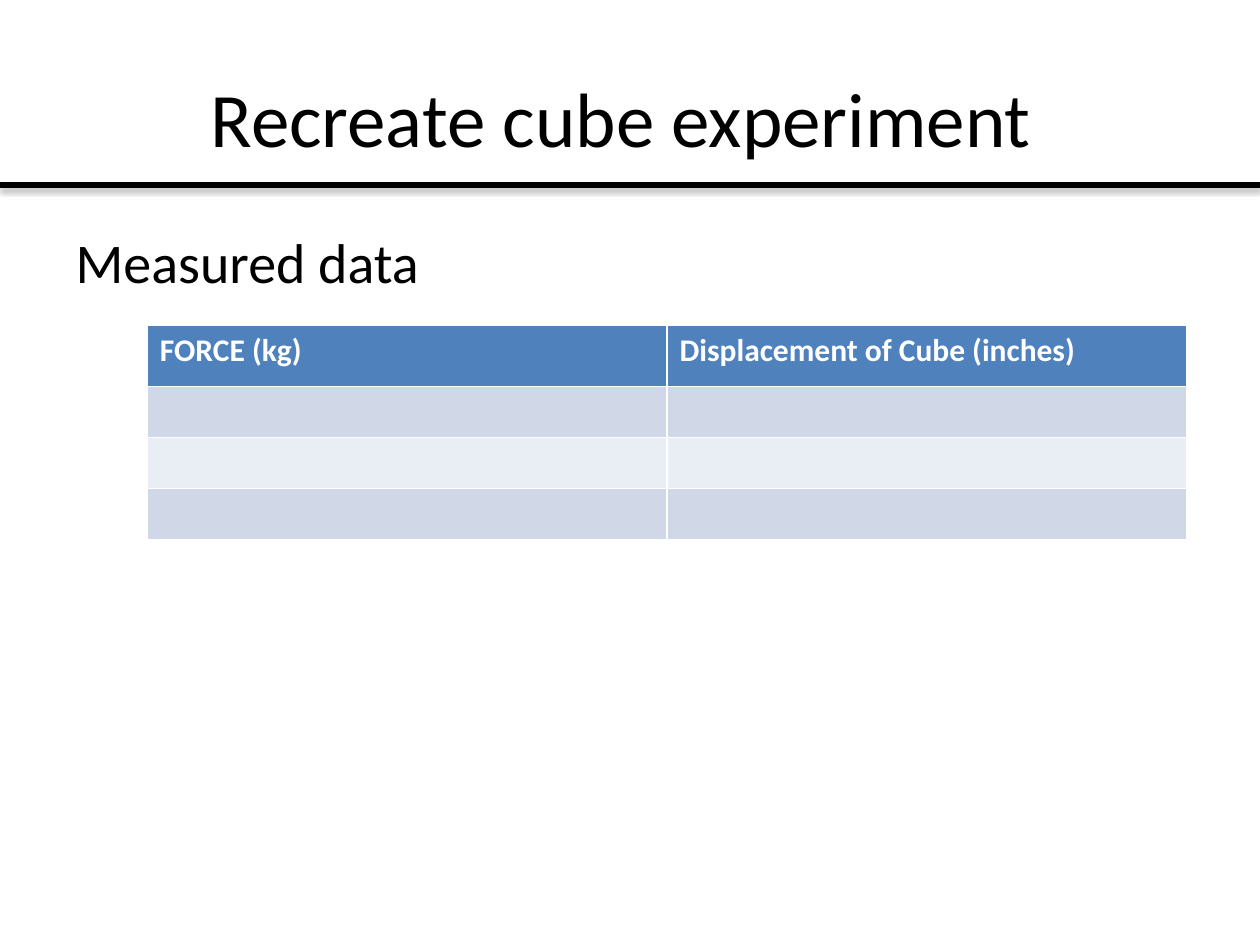
"""Build the slide with the measured data of the cube experiment."""
from dataclasses import dataclass

from lxml.etree import SubElement as Sub
from pptx import Presentation as Deck
from pptx.dml.color import RGBColor as Rgb
from pptx.enum.shapes import MSO_CONNECTOR as Link
from pptx.enum.text import MSO_ANCHOR as Anchor, PP_ALIGN as Align
from pptx.oxml.ns import qn
from pptx.util import Cm, Pt


@dataclass
class Box:
    left: float
    top: float
    width: float
    height: float

    def spread(self) -> tuple:
        return Cm(self.left), Cm(self.top), Cm(self.width), Cm(self.height)


@dataclass
class Row:
    height: float
    fill: str
    texts: tuple = ("", "")


ROWS = (
    Row(1.24, "4F81BD", ("FORCE (kg)", "Displacement of Cube (inches)")),
    Row(1.03, "D0D8E8"),
    Row(1.03, "E9EDF4"),
    Row(1.03, "D0D8E8"),
)


def paint(part, color: str) -> None:
    part.rgb = Rgb.from_string(color)


def style(frame, size: int, color: str, bold: bool = False) -> None:
    for para in frame.paragraphs:
        for run in para.runs:
            run.font.name = "Calibri"
            run.font.size = Pt(size)
            run.font.bold = bold
            paint(run.font.color, color)


def fill_holder(holder, box: Box, text: str, size: int):
    holder.left, holder.top, holder.width, holder.height = box.spread()
    frame = holder.text_frame
    frame.text = text
    style(frame, size, "000000")
    return frame


def draw_rule(slide, top: float, width: float) -> None:
    rule = slide.shapes.add_connector(Link.STRAIGHT, 0, Cm(top), Cm(width), Cm(top))
    paint(rule.line.color, "000000")
    rule.line.width = Pt(3)
    props = rule._element.spPr
    glow = Sub(Sub(props, qn("a:effectLst")), qn("a:outerShdw"), blurRad=str(Pt(3.1)),
               dist=str(Pt(1.8)), dir="5400000", rotWithShape="0")
    shade = Sub(glow, qn("a:srgbClr"), val="000000")
    Sub(shade, qn("a:alpha"), val="35000")


def draw_table(slide, box: Box, rows: tuple) -> None:
    table = slide.shapes.add_table(len(rows), len(rows[0].texts), *box.spread()).table
    for line, row in zip(table.rows, rows):
        line.height = Cm(row.height)
        for cell, text in zip(line.cells, row.texts):
            cell.fill.solid()
            paint(cell.fill.fore_color, row.fill)
            if text:
                cell.text_frame.text = text
                style(cell.text_frame, 18, "FFFFFF", True)


def main() -> None:
    deck = Deck()
    deck.slide_width, deck.slide_height = Cm(25.4), Cm(19.05)
    slide = deck.slides.add_slide(deck.slide_layouts[1])
    title, body = slide.placeholders

    head = fill_holder(title, Box(1.27, 0.76, 22.86, 3.18), "Recreate cube experiment ", 44)
    head.vertical_anchor = Anchor.MIDDLE
    head.paragraphs[0].alignment = Align.CENTER

    text = fill_holder(body, Box(1.27, 4.45, 22.86, 12.57), "Measured data", 32)
    props = text.paragraphs[0]._p.get_or_add_pPr()
    props.set("marL", "0")
    props.set("indent", "0")
    Sub(props, qn("a:buNone"))

    draw_rule(slide, 3.73, 25.4)
    draw_table(slide, Box(2.97, 6.55, 20.95, 4.33), ROWS)
    deck.save("out.pptx")


if __name__ == "__main__":
    main()
